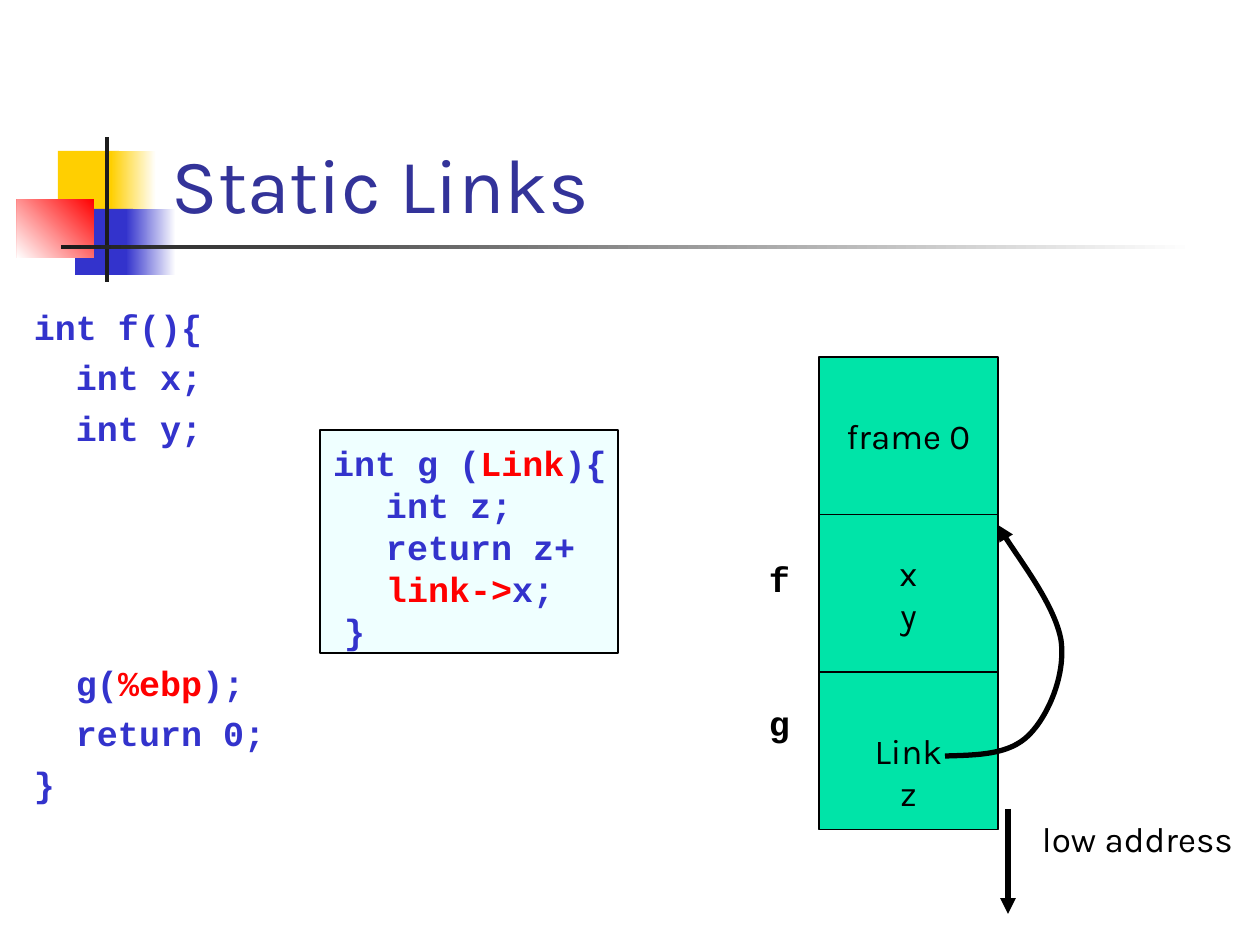
from lxml import etree
from pptx import Presentation
from pptx.dml.color import RGBColor
from pptx.enum.shapes import MSO_CONNECTOR, MSO_SHAPE
from pptx.enum.text import MSO_ANCHOR, PP_ALIGN
from pptx.oxml.ns import qn
from pptx.util import Emu, Pt

RECTANGLE = MSO_SHAPE.RECTANGLE
STRAIGHT = MSO_CONNECTOR.STRAIGHT
TOP, MIDDLE, BOTTOM = MSO_ANCHOR.TOP, MSO_ANCHOR.MIDDLE, MSO_ANCHOR.BOTTOM
LEFT, CENTER = PP_ALIGN.LEFT, PP_ALIGN.CENTER

SCALE = 914400 / 126
SANS, MONO = "Karla", "Courier New"
BLACK, WHITE, DARK = "000000", "FFFFFF", "1C1C1C"
BLUE, RED, YELLOW = "3333CC", "FF0000", "FFCF01"
TITLE_BLUE, GREEN, PALE = "333399", "00E4A8", "CCFFFF"


def px(value):
    return Emu(round(value * SCALE))


def color(value):
    return RGBColor.from_string(value)


def add_box(slide, bounds, fill, end=None, angle=180, outlined=False):
    shape = slide.shapes.add_shape(RECTANGLE, *map(px, bounds))
    shape.shadow.inherit = False
    if end:
        shape.fill.gradient()
        shape.fill.gradient_angle = angle
        for stop, value in zip(shape.fill.gradient_stops, (fill, end)):
            stop.color.rgb = color(value)
    else:
        shape.fill.solid()
        shape.fill.fore_color.rgb = color(fill)
    if outlined:
        shape.line.color.rgb = color(BLACK)
        shape.line.width = Pt(0.75)
    else:
        shape.line.fill.background()
    return shape


def set_transparency(shape, opacity):
    value = shape.fill._xPr.find(qn("a:solidFill")).find(qn("a:srgbClr"))
    etree.SubElement(value, qn("a:alpha")).set("val", str(opacity * 1000))


def write_text(shape, lines, font=SANS, size=20, fill=BLACK, bold=False,
               align=LEFT, anchor=TOP, gap=0, inset_top=6, indents=()):
    frame = shape.text_frame
    frame.word_wrap = True
    frame.vertical_anchor = anchor
    frame.margin_left = px(13)
    frame.margin_right = 0 if align == LEFT else px(13)
    frame.margin_top, frame.margin_bottom = px(inset_top), px(6)
    for index, line in enumerate(lines):
        paragraph = frame.add_paragraph() if index else frame.paragraphs[0]
        paragraph.alignment = align
        paragraph.line_spacing = Pt(size * 1.2)
        paragraph.space_before = Pt(gap if index else 0)
        if indents:
            properties = paragraph._p.get_or_add_pPr()
            properties.set("marL", str(px(indents[index])))
            properties.set("indent", "0")
        parts = [(line, fill)] if isinstance(line, str) else line
        for text, run_color in parts:
            run = paragraph.add_run()
            run.text = text
            run.font.name = font
            run.font.size = Pt(size)
            run.font.bold = bold
            run.font.color.rgb = color(run_color)


def add_text(slide, bounds, lines, **style):
    write_text(slide.shapes.add_textbox(*map(px, bounds)), lines, **style)


def add_code(slide, bounds, lines, fill=BLUE):
    add_text(slide, bounds, lines, font=MONO, fill=fill, bold=True, gap=5)


def style_arrow(shape):
    shape.line.color.rgb = color(BLACK)
    shape.line.width = Pt(3)
    line = shape.line._get_or_add_ln()
    etree.SubElement(line, qn("a:tailEnd")).set("type", "triangle")


def add_arrow(slide, start, end):
    connector = slide.shapes.add_connector(STRAIGHT, *map(px, start + end))
    style_arrow(connector)
    etree.SubElement(connector._element.spPr, qn("a:effectLst"))


def add_curved_arrow(slide, start, controls):
    builder = slide.shapes.build_freeform(*start, scale=SCALE)
    builder.add_line_segments(controls, close=False)
    shape = builder.convert_to_shape()
    shape.shadow.inherit = False
    shape.fill.background()
    style_arrow(shape)
    path = shape._element.spPr.find(".//" + qn("a:path"))
    segments = path.findall(qn("a:lnTo"))
    for first in range(0, len(segments), 3):
        curve = etree.SubElement(path, qn("a:cubicBezTo"))
        for segment in segments[first:first + 3]:
            curve.append(segment[0])
            path.remove(segment)


def add_decoration(slide):
    add_box(slide, (58, 151, 61, 66), YELLOW)
    add_box(slide, (111, 151, 45, 66), WHITE, YELLOW)
    add_box(slide, (75, 209, 58, 66), BLUE)
    add_box(slide, (126, 209, 50, 66), WHITE, BLUE)
    add_box(slide, (17, 199, 77, 59), RED, WHITE, 225)
    add_box(slide, (105, 137, 4, 145), DARK)
    add_box(slide, (61, 245, 1134, 4), WHITE, DARK)


def add_stack(slide):
    frames = [(["frame 0"], 6), (["x", "y"], 6), (["Link", "z"], 48)]
    for index, (lines, inset) in enumerate(frames):
        bounds = (819, 357 + index * 157.5, 179, 157.5)
        shape = add_box(slide, bounds, GREEN, outlined=True)
        write_text(shape, lines, align=CENTER, anchor=MIDDLE, inset_top=inset)
    for label, top in (("f", 551), ("g", 695)):
        add_code(slide, (756, top, 42, 55), [label], BLACK)
    add_text(slide, (1029, 811, 231, 55), ["low address"])
    add_arrow(slide, (1008, 809), (1008, 914))
    add_curved_arrow(slide, (945, 756), [
        (978, 755), (1009, 755), (1029, 735),
        (1048, 716), (1066, 675), (1061, 640),
        (1055, 606), (1008, 544), (998, 525)])


def add_function_g(slide):
    shape = add_box(slide, (320, 430, 298, 223), PALE, outlined=True)
    set_transparency(shape, 30)
    lines = [[("int g (", BLUE), ("Link", RED), ("){", BLUE)],
             "int z;", "return z+",
             [("link->", RED), ("x;", BLUE)], "}"]
    write_text(shape, lines, font=MONO, fill=BLUE, bold=True,
               inset_top=11, indents=(0, 53, 53, 53, 11))


def main():
    presentation = Presentation()
    presentation.slide_width, presentation.slide_height = px(1260), px(945)
    slide = presentation.slides.add_slide(presentation.slide_layouts[6])
    add_decoration(slide)
    add_text(slide, (159, 33, 1073, 202), ["Static Links"],
             size=44, fill=TITLE_BLUE, anchor=BOTTOM)
    add_stack(slide)
    add_code(slide, (21, 299, 267, 160),
             ["int f(){", "  int x;", "  int y;"])
    add_code(slide, (21, 655, 267, 160),
             [[("  g(", BLUE), ("%ebp", RED), (");", BLUE)],
              "  return 0;", "}"])
    add_function_g(slide)
    presentation.save("out.pptx")


if __name__ == "__main__":
    main()
